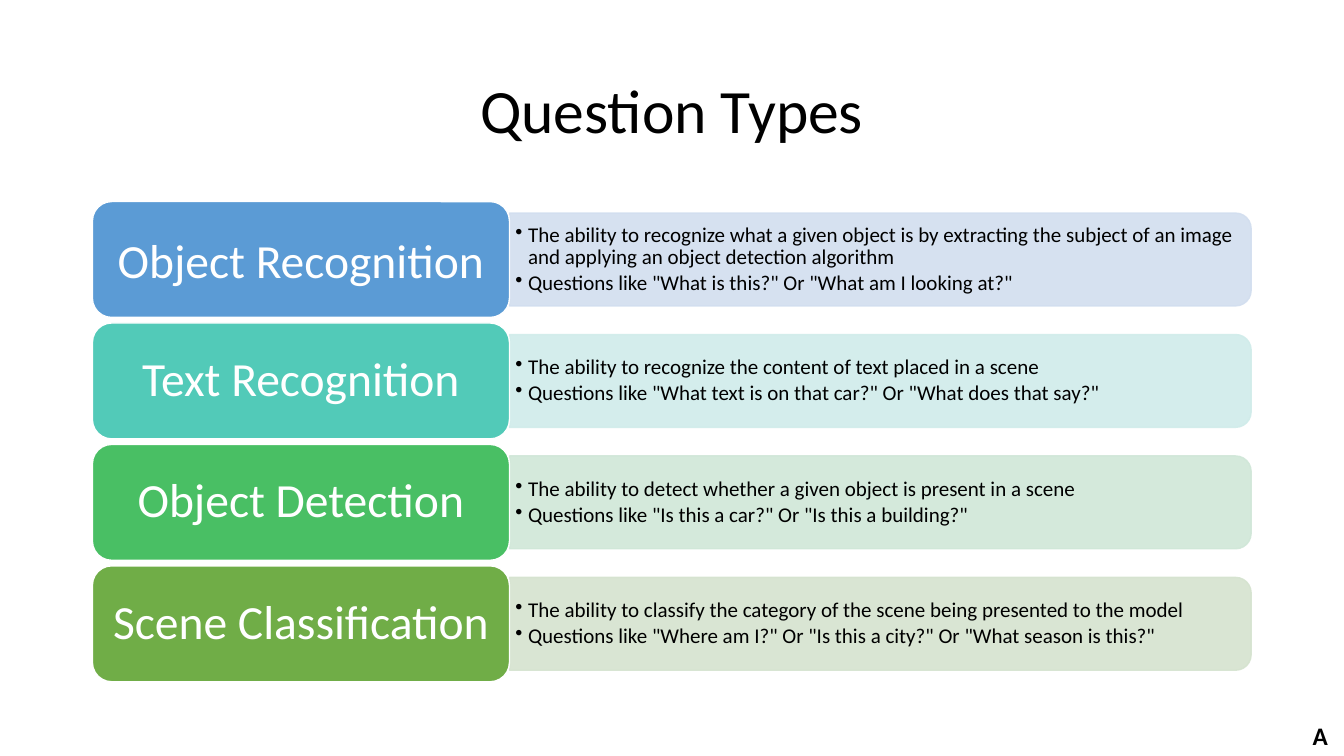
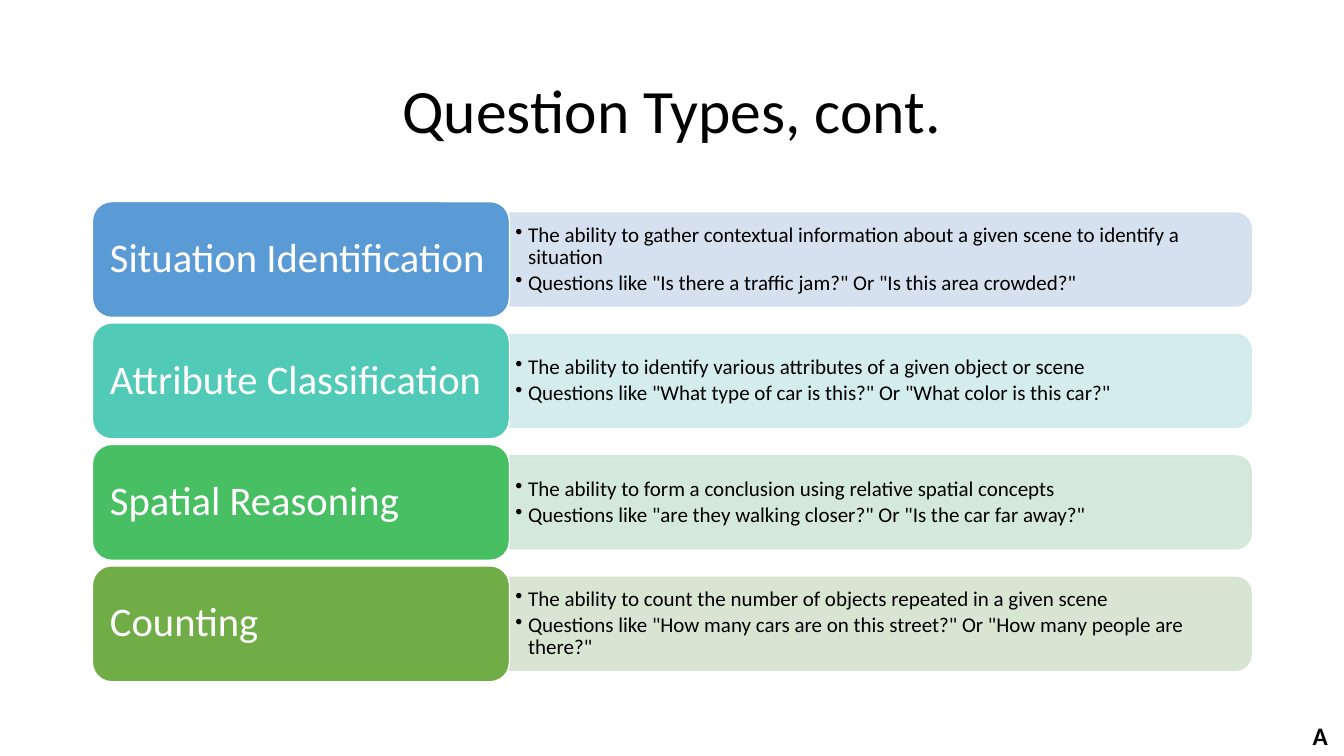
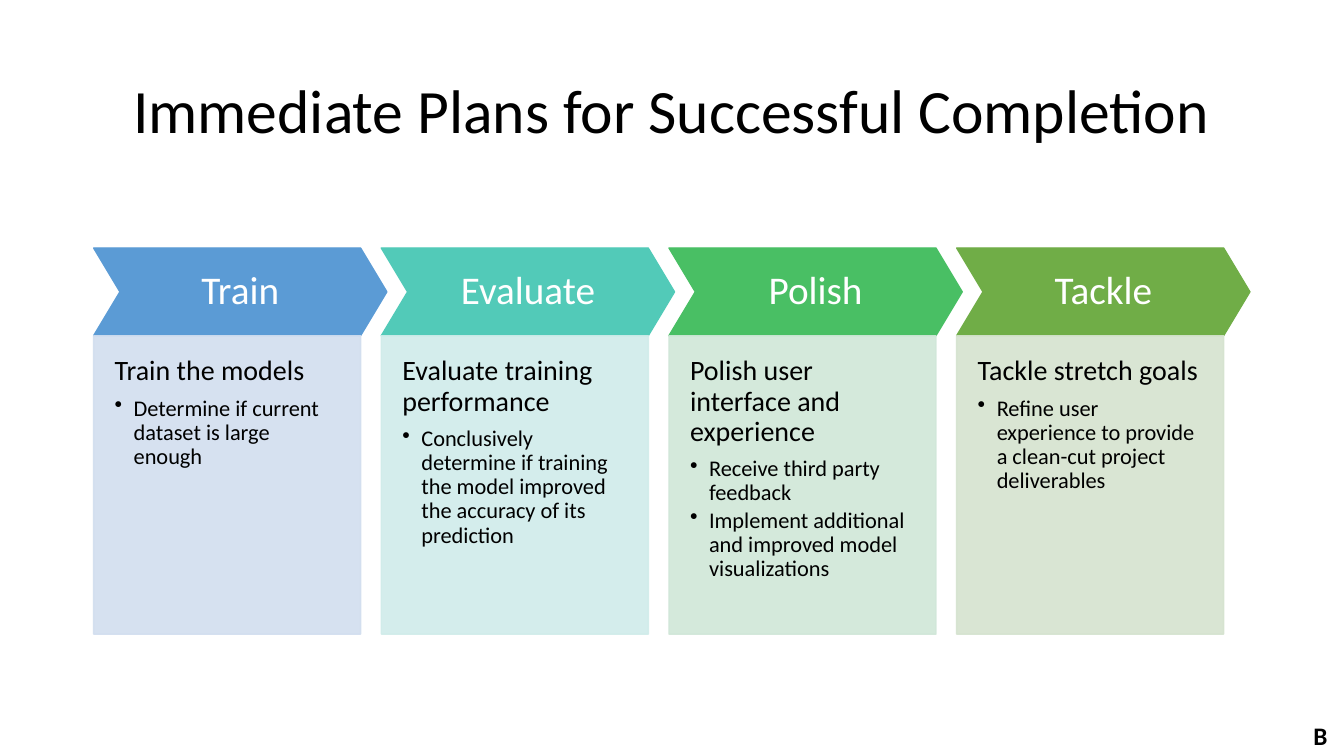
import pptx
import pptx.dml.color
import pptx.enum.shapes
import pptx.enum.text
import pptx.oxml
import pptx.oxml.ns
import pptx.util

Cm, Pt = pptx.util.Cm, pptx.util.Pt
SHAPE = pptx.enum.shapes.MSO_SHAPE
ALIGN = pptx.enum.text.PP_ALIGN
ANCHOR = pptx.enum.text.MSO_ANCHOR

FONT = "Calibri"
COLORS = {"text": "000000", "light": "FFFFFF"}
THEMES = [  # strong colour, pale colour
    {"strong": "5B9BD5", "pale": "D2DEEF"},
    {"strong": "52CAB8", "pale": "D0ECEA"},
    {"strong": "49BF64", "pale": "D0E7D8"},
    {"strong": "70AD47", "pale": "D5E3CF"},
]

QUESTION_SLIDES = [
    {
        "title": "Question Types",
        "mark": "A",
        "label": {"size": 34, "align": ALIGN.CENTER, "insets": (0.36, 0.18, 0.36, 0.18)},
        "rows": [
            ("Object Recognition", 1.0, [
                "The ability to recognize what a given object is by extracting the subject of an image and applying an object detection algorithm",
                'Questions like "What is this?" Or "What am I looking at?"']),
            ("Text Recognition", 0.9, [
                "The ability to recognize the content of text placed in a scene",
                'Questions like "What text is on that car?" Or "What does that say?"']),
            ("Object Detection", 0.9, [
                "The ability to detect whether a given object is present in a scene",
                'Questions like "Is this a car?" Or "Is this a building?"']),
            ("Scene Classification", 0.9, [
                "The ability to classify the category of the scene being presented to the model",
                'Questions like "Where am I?" Or "Is this a city?" Or "What season is this?"']),
        ],
    },
    {
        "title": "Question Types, cont.",
        "mark": "A",
        "label": {"size": 29, "align": ALIGN.LEFT, "insets": (0.3, 0.15, 0.3, 0.15)},
        "rows": [
            ("Situation Identification", 0.9, [
                "The ability to gather contextual information about a given scene to identify a situation",
                'Questions like "Is there a traffic jam?" Or "Is this area crowded?"']),
            ("Attribute Classification", 0.9, [
                "The ability to identify various attributes of a given object or scene",
                'Questions like "What type of car is this?" Or "What color is this car?"']),
            ("Spatial Reasoning", 0.9, [
                "The ability to form a conclusion using relative spatial concepts",
                'Questions like "are they walking closer?" Or "Is the car far away?"']),
            ("Counting", 0.9, [
                "The ability to count the number of objects repeated in a given scene",
                'Questions like "How many cars are on this street?" Or "How many people are there?"']),
        ],
    },
]

PLAN = {
    "title": "Immediate Plans for Successful Completion",
    "mark": "B",
    "steps": [
        ("Train", "Train the models", ["Determine if current dataset is large enough"]),
        ("Evaluate", "Evaluate training performance", [
            "Conclusively determine if training the model improved the accuracy of its prediction"]),
        ("Polish", "Polish user interface and experience", [
            "Receive third party feedback",
            "Implement additional and improved model visualizations"]),
        ("Tackle", "Tackle stretch goals", [
            "Refine user experience to provide a clean-cut project deliverables"]),
    ],
}


def setup_frame(sp, insets=(0.25, 0.13, 0.25, 0.13), anchor=ANCHOR.MIDDLE):
    tf = sp.text_frame
    tf.word_wrap = True
    tf.vertical_anchor = anchor
    tf.margin_left, tf.margin_top, tf.margin_right, tf.margin_bottom = map(Cm, insets)
    return tf


def add_text(tf, text, size, color="text", bold=False, align=ALIGN.LEFT,
             spacing=0.9, after=0.0, bullet_indent=None):
    """Append a paragraph; after is a share of the text size, bullet_indent is in cm."""
    p = tf.paragraphs[0]
    if p.runs:
        p = tf.add_paragraph()
    if bullet_indent:
        ppr = p._p.get_or_add_pPr()
        ppr.set("marL", str(Cm(bullet_indent)))
        ppr.set("indent", str(-Cm(bullet_indent)))
        ppr.append(pptx.oxml.parse_xml(
            f'<a:buChar {pptx.oxml.ns.nsdecls("a")} char="•"/>'))
    p.alignment = align
    p.line_spacing = spacing
    p.space_after = Pt(size * after)
    r = p.add_run()
    r.text = text
    r.font.name = FONT
    r.font.size = Pt(size)
    r.font.bold = bold
    r.font.color.rgb = pptx.dml.color.RGBColor.from_string(COLORS[color])


def add_box(slide, left, top, width, height):
    return slide.shapes.add_textbox(Cm(left), Cm(top), Cm(width), Cm(height))


def add_shape(slide, kind, left, top, width, height, fill, line, opacity=None):
    sp = slide.shapes.add_shape(kind, Cm(left), Cm(top), Cm(width), Cm(height))
    sp.shadow.inherit = False
    sp.fill.solid()
    sp.fill.fore_color.rgb = pptx.dml.color.RGBColor.from_string(fill)
    sp.line.color.rgb = pptx.dml.color.RGBColor.from_string(line)
    sp.line.width = Pt(1)
    if opacity:
        for color in sp._element.spPr.iter(pptx.oxml.ns.qn("a:srgbClr")):
            color.append(pptx.oxml.parse_xml(
                f'<a:alpha {pptx.oxml.ns.nsdecls("a")} val="{opacity * 1000}"/>'))
    return sp


def add_slide(prs, title, mark):
    """Add a blank slide with the shared title and corner mark."""
    slide = prs.slides.add_slide(prs.slide_layouts[6])
    add_text(setup_frame(add_box(slide, 2.33, 1.02, 29.21, 3.68)), title, 44,
             align=ALIGN.CENTER)
    corner = setup_frame(add_box(slide, 32.69, 18.03, 1.17, 1.02), anchor=ANCHOR.TOP)
    add_text(corner, mark, 18, bold=True, align=ALIGN.CENTER, spacing=1.0)
    return slide


def build_questions(prs, data):
    slide = add_slide(prs, data["title"], data["mark"])
    left, top, pitch = 2.33, 5.08, 3.06
    label_w, label_h = 10.51, 2.92
    panel_w, panel_h, text_h = 18.69, 2.34, 2.11
    panel_left = left + label_w
    style = data["label"]
    for i, ((label, spacing, points), theme) in enumerate(zip(data["rows"], THEMES)):
        y = top + i * pitch
        middle = y + label_h / 2
        # Turned by a quarter so that the two rounded corners face right
        panel = add_shape(slide, SHAPE.ROUND_2_SAME_RECTANGLE,
                          panel_left + (panel_w - panel_h) / 2, middle - panel_w / 2,
                          panel_h, panel_w, theme["pale"], theme["pale"], opacity=90)
        panel.rotation = 90
        tf = setup_frame(add_box(slide, panel_left, middle - text_h / 2, 18.59, text_h),
                         insets=(0.15, 0.08, 0.15, 0.08))
        for point in points:
            add_text(tf, point, 15, after=0.15, bullet_indent=0.32)
        sp = add_shape(slide, SHAPE.ROUNDED_RECTANGLE, left, y, label_w, label_h,
                       theme["strong"], COLORS["light"])
        add_text(setup_frame(sp, style["insets"]), label, style["size"], color="light",
                 align=style["align"], spacing=spacing, after=0.35)


def build_plan(prs, data):
    slide = add_slide(prs, data["title"], data["mark"])
    left, top, pitch = 2.36, 6.25, 7.25
    arrow_w, arrow_h = 7.39, 2.21
    card_w, card_h = 6.73, 7.52
    for i, ((step, heading, points), theme) in enumerate(zip(data["steps"], THEMES)):
        x = left + i * pitch
        arrow = add_shape(slide, SHAPE.CHEVRON, x, top, arrow_w, arrow_h,
                          theme["strong"], theme["strong"])
        arrow.adjustments[0] = 0.3
        add_text(setup_frame(arrow, (0.28,) * 4), step, 28, color="light",
                 align=ALIGN.CENTER, after=0.35)
        card = add_shape(slide, SHAPE.RECTANGLE, x, top + arrow_h, card_w, card_h,
                         theme["pale"], theme["pale"], opacity=90)
        tf = setup_frame(card, (0.53, 0.53, 0.53, 1.07), ANCHOR.TOP)
        add_text(tf, heading, 20, after=0.35)
        for point in points:
            add_text(tf, point, 16, after=0.15, bullet_indent=0.48)


def main():
    prs = pptx.Presentation()
    prs.slide_width, prs.slide_height = Cm(33.87), Cm(19.05)
    for data in QUESTION_SLIDES:
        build_questions(prs, data)
    build_plan(prs, PLAN)
    prs.save("out.pptx")


if __name__ == "__main__":
    main()
